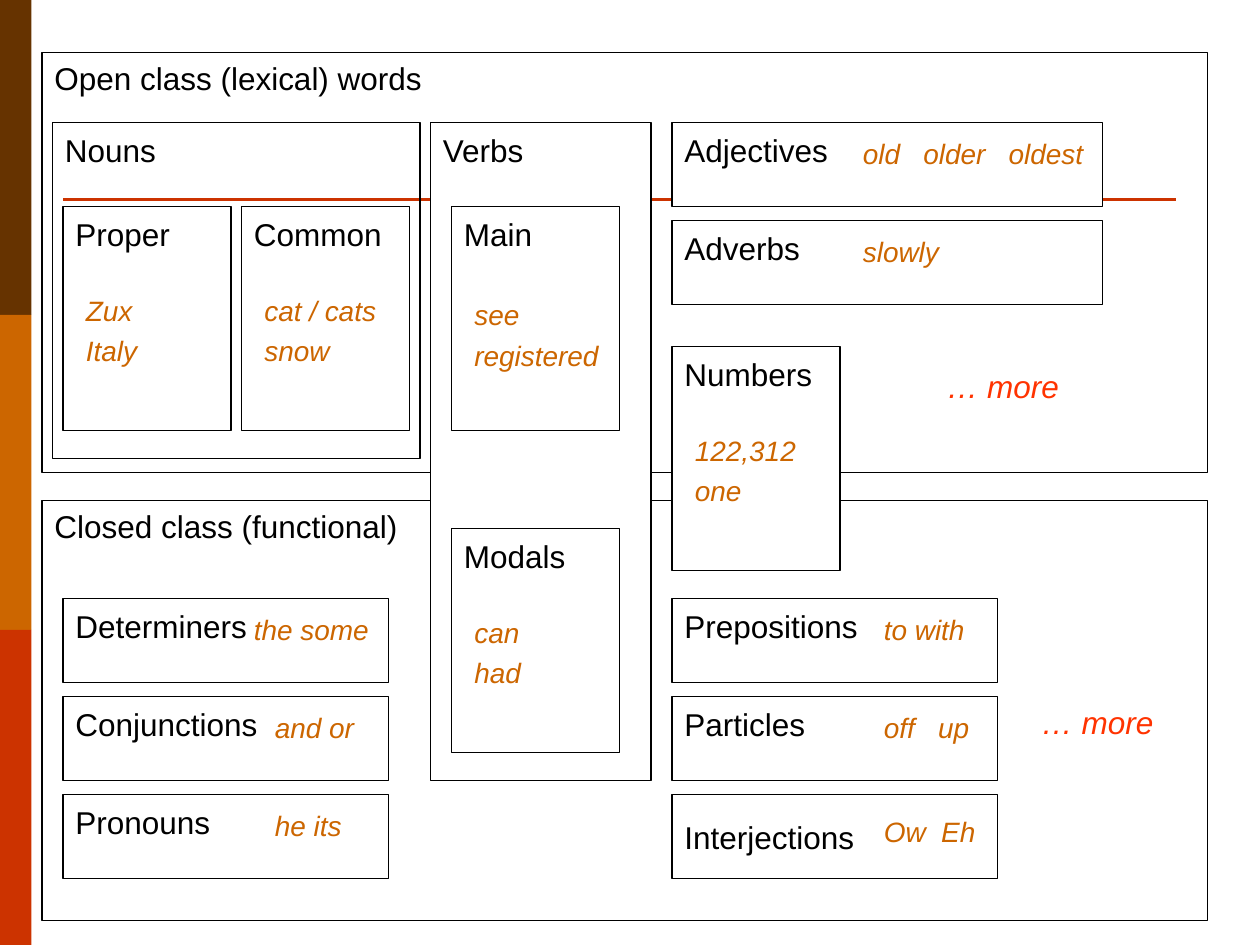
from lxml import etree
from pptx import Presentation
from pptx.dml.color import RGBColor
from pptx.enum import shapes, text
from pptx.oxml.ns import qn
from pptx.util import Pt

PX = 6350  # EMU per px, 144 px to the inch
THEME = {
    "font": "Arial", "label": 18, "sample": 16,
    "ink": "000000", "paper": "FFFFFF", "more": "FF3300",
    "brown": "663300", "ochre": "CC6600", "rust": "CC3300",
    "edge": 0.75, "rule": 1.5,
}

deck = Presentation()
deck.slide_width, deck.slide_height = 1440 * PX, 1080 * PX
slide = deck.slides.add_slide(deck.slide_layouts[6])


def add_box(x, y, w, h, fill=None, edge=None):
    box = slide.shapes.add_shape(
        shapes.MSO_SHAPE.RECTANGLE, x * PX, y * PX, w * PX, h * PX)
    box.shadow.inherit = False
    if fill:
        box.fill.solid()
        box.fill.fore_color.rgb = RGBColor.from_string(THEME[fill])
    else:
        box.fill.background()
    if edge:
        box.line.color.rgb = RGBColor.from_string(THEME[edge])
        box.line.width = Pt(THEME["edge"])
    else:
        box.line.fill.background()
    return box


def write(frame, lines, size="label", color="ink", slant=False):
    frame.word_wrap = True
    for i, line in enumerate(lines):
        para = frame.paragraphs[0] if i == 0 else frame.add_paragraph()
        para.alignment = text.PP_ALIGN.LEFT
        if i:
            para.space_before = Pt(4)
        run = para.add_run()
        run.text = line
        run.font.name = THEME["font"]
        run.font.size = Pt(THEME[size])
        run.font.italic = slant
        run.font.color.rgb = RGBColor.from_string(THEME[color])


# Side strips
for i, color in enumerate(("brown", "ochre", "rust")):
    add_box(0, i * 360, 36, 360, color)

# Title rule
rule = slide.shapes.add_connector(
    shapes.MSO_CONNECTOR.STRAIGHT, 72 * PX, 228 * PX, 1344 * PX, 228 * PX)
rule.line.color.rgb = RGBColor.from_string(THEME["rust"])
rule.line.width = Pt(THEME["rule"])
etree.SubElement(rule._element.spPr, qn("a:effectLst"))

# Open and closed class panels
for y, title, wide in ((60, "Open class (lexical) words", 516),
                       (572, "Closed class (functional)", 576)):
    add_box(48, y, 1332, 480, edge="ink")
    label = slide.shapes.add_textbox(48 * PX, y * PX, wide * PX, 58 * PX)
    write(label.text_frame, [title])

# Word classes: x, y, w, h, fill, title, title width
ROWS = [684 + 112 * i for i in range(3)]
words = [
    (60, 140, 420, 384, None, "Nouns", 228),
    (492, 140, 252, 752, "paper", "Verbs", 276),
    (72, 236, 192, 256, None, "Proper", 168),
    (276, 236, 192, 256, None, "Common", 216),
    (516, 236, 192, 256, None, "Main", 168),
    (516, 604, 192, 256, None, "Modals", 168),
    (768, 396, 192, 256, "paper", "Numbers", 180),
    (768, 140, 492, 96, "paper", "Adjectives", 276),
    (768, 252, 492, 96, "paper", "Adverbs", 276),
]
for x, names in ((72, ("Determiners", "Conjunctions", "Pronouns")),
                 (768, ("Prepositions", "Particles"))):
    for y, name in zip(ROWS, names):
        words.append((x, y, 372, 96, "paper", name, 276))
for x, y, w, h, fill, title, wide in words:
    add_box(x, y, w, h, fill, "ink")
    label = slide.shapes.add_textbox(x * PX, (y + 3) * PX, wide * PX, 58 * PX)
    write(label.text_frame, [title])

# Interjections holds its own centred title
last = add_box(768, ROWS[2], 372, 96, "paper", "ink")
last.text_frame.vertical_anchor = text.MSO_ANCHOR.MIDDLE
write(last.text_frame, ["Interjections"])

# Sample words: x, y, w, lines
samples = [
    (84, 328, 168, ["Zux", "Italy"]),
    (288, 328, 168, ["cat / cats", "snow"]),
    (528, 333, 180, ["see", "registered"]),
    (528, 696, 180, ["can", "had"]),
    (780, 488, 180, ["122,312", "one"]),
    (972, 149, 312, ["old   older   oldest"]),
    (972, 261, 180, ["slowly"]),
    (276, ROWS[0] + 9, 180, ["the some"]),
    (300, ROWS[1] + 9, 180, ["and or"]),
    (300, ROWS[2] + 9, 180, ["he its"]),
    (996, ROWS[0] + 9, 180, ["to with"]),
    (996, ROWS[1] + 9, 180, ["off   up"]),
    (996, ROWS[2] + 16, 180, ["Ow  Eh"]),
]
for x, y, w, lines in samples:
    h = 53 + 46 * (len(lines) - 1)
    note = slide.shapes.add_textbox(x * PX, y * PX, w * PX, h * PX)
    write(note.text_frame, lines, "sample", "ochre", True)

# Further classes
for x, y, w in ((1068, 412, 228), (1176, 796, 180)):
    note = slide.shapes.add_textbox(x * PX, y * PX, w * PX, 58 * PX)
    write(note.text_frame, ["… more"], color="more", slant=True)

deck.save("out.pptx")
